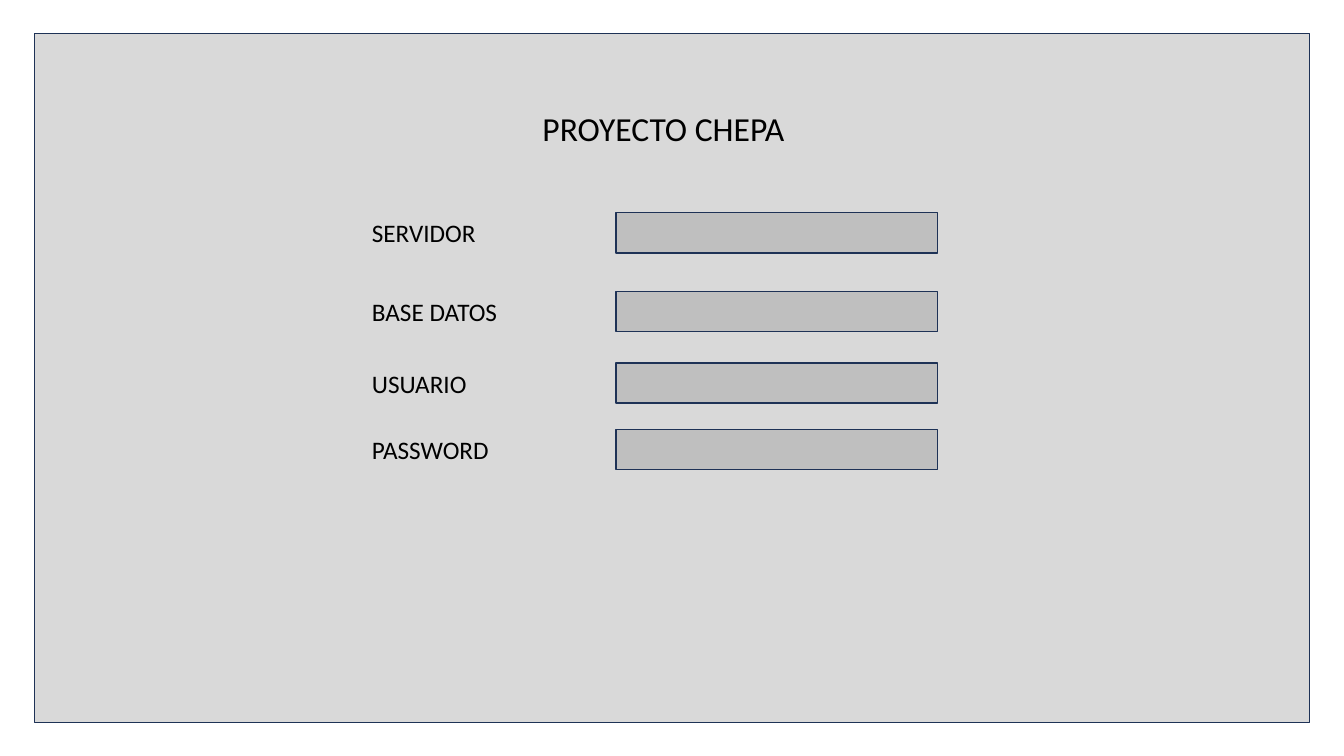
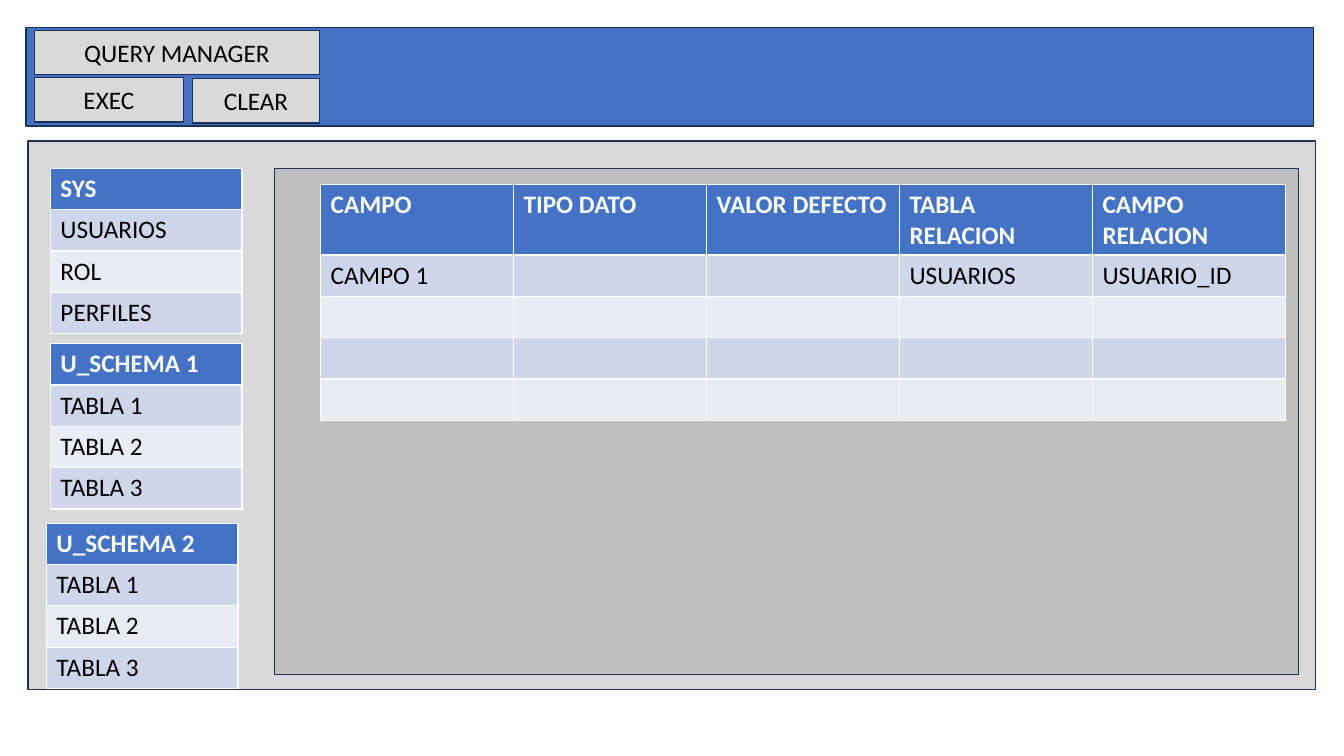
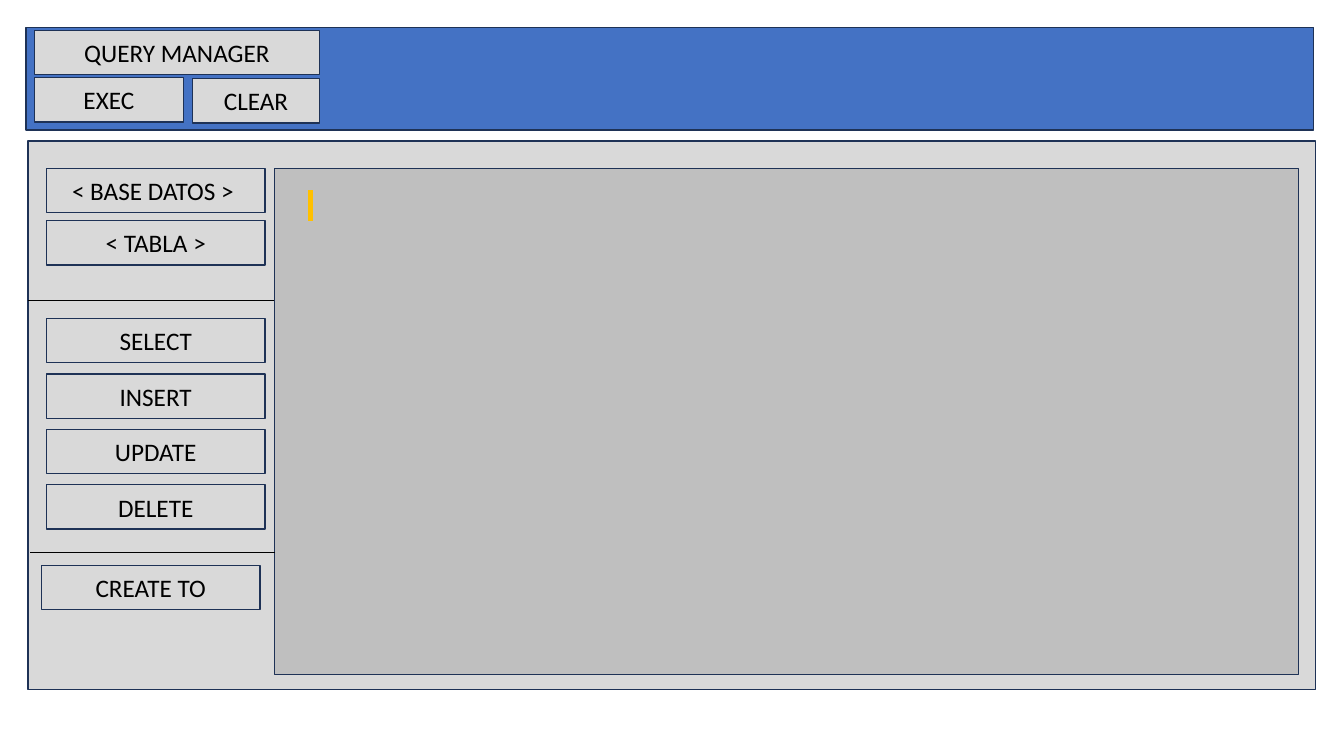
from lxml.etree import SubElement
from pptx import Presentation
from pptx.dml.color import RGBColor
from pptx.enum.shapes import MSO_CONNECTOR as Connector, MSO_SHAPE as Shape
from pptx.enum.text import MSO_ANCHOR as Anchor, MSO_AUTO_SIZE as AutoSize, PP_ALIGN as Align
from pptx.oxml.ns import qn
from pptx.util import Inches, Pt

FONT = "Calibri"
COLORS = {
    "blue": "4472C4",
    "outline": "1E3256",
    "panel": "D9D9D9",
    "field": "BFBFBF",
    "band_dark": "CFD5EA",
    "band_light": "E9EBF5",
    "cursor": "FFC000",
    "black": "000000",
    "white": "FFFFFF",
}
BUTTON_HEIGHT = 0.44
ROW_HEIGHT = 0.41
SIDE_LEFT = 0.46


def color(name):
    return RGBColor.from_string(COLORS[name])


class Mockup:
    """Draws the parts of a screen on the current page."""

    def __init__(self):
        self.deck = Presentation()
        self.deck.slide_width = Inches(13.33)
        self.deck.slide_height = Inches(7.5)
        self.page = None

    def new_page(self):
        self.page = self.deck.slides.add_slide(self.deck.slide_layouts[6])

    def set_text(self, frame, text, size=18, ink="black", bold=False, align=Align.LEFT):
        para = frame.paragraphs[0]
        para.text = text
        para.alignment = align
        para.font.name = FONT
        para.font.size = Pt(size)
        para.font.bold = bold
        para.font.color.rgb = color(ink)

    def box(self, left, top, width, height, fill):
        box = self.page.shapes.add_shape(
            Shape.RECTANGLE, Inches(left), Inches(top), Inches(width), Inches(height))
        box.shadow.inherit = False
        box.fill.solid()
        box.fill.fore_color.rgb = color(fill)
        box.line.color.rgb = color("outline")
        box.line.width = Pt(1)
        return box

    def button(self, text, left, top, width=2.17):
        frame = self.box(left, top, width, BUTTON_HEIGHT, "panel").text_frame
        frame.vertical_anchor = Anchor.MIDDLE
        self.set_text(frame, text, align=Align.CENTER)

    def label(self, text, left, top, width, height=0.4, size=18, align=Align.LEFT):
        box = self.page.shapes.add_textbox(
            Inches(left), Inches(top), Inches(width), Inches(height))
        box.text_frame.word_wrap = True
        box.text_frame.auto_size = AutoSize.SHAPE_TO_FIT_TEXT
        self.set_text(box.text_frame, text, size, align=align)

    def line(self, start, end, ink="black", weight=0.5):
        line = self.page.shapes.add_connector(
            Connector.STRAIGHT, *(Inches(value) for value in (*start, *end)))
        line.line.color.rgb = color(ink)
        line.line.width = Pt(weight)
        SubElement(line._element.spPr, qn("a:effectLst"))

    def table(self, rows, left, top, width, header_height=ROW_HEIGHT):
        """Table with a blue header row and banded rows below it."""
        heights = [header_height] + [ROW_HEIGHT] * (len(rows) - 1)
        table = self.page.shapes.add_table(
            len(rows), len(rows[0]), Inches(left), Inches(top),
            Inches(width), Inches(sum(heights))).table
        for index, (texts, height) in enumerate(zip(rows, heights)):
            header = index == 0
            band = "band_dark" if index % 2 else "band_light"
            table.rows[index].height = Inches(height)
            for column, text in enumerate(texts):
                cell = table.cell(index, column)
                cell.fill.solid()
                cell.fill.fore_color.rgb = color("blue" if header else band)
                self.set_text(cell.text_frame, text,
                              ink="white" if header else "black", bold=header)

    def toolbar(self, height):
        self.box(0.26, 0.27, 12.77, height, "blue")
        self.button("QUERY MANAGER", 0.34, 0.3, 2.83)
        self.button("EXEC", 0.34, 0.77, 1.48)
        self.button("CLEAR", 1.91, 0.78, 1.26)

    def workspace(self):
        self.box(0.28, 1.4, 12.77, 5.44, "panel")
        self.box(2.72, 1.67, 10.16, 5.02, "field")


def login_page(mockup):
    mockup.new_page()
    mockup.box(0.34, 0.33, 12.65, 6.84, "panel")
    mockup.label("PROYECTO CHEPA", 3.72, 1.02, 5.72, 0.5, 24, Align.CENTER)
    fields = {"SERVIDOR": 2.11, "BASE DATOS": 2.89, "USUARIO": 3.6, "PASSWORD": 4.26}
    for text, top in fields.items():
        mockup.label(text, 3.59, top, 2.39)
        mockup.box(6.11, top, 3.19, 0.4, "field")


def schema_page(mockup):
    mockup.new_page()
    mockup.toolbar(0.98)
    mockup.workspace()

    tables = ["TABLA 1", "TABLA 2", "TABLA 3"]
    schemas = [
        ("SYS", ["USUARIOS", "ROL", "PERFILES"], 0.5, 1.67),
        ("U_SCHEMA 1", tables, 0.5, 3.41),
        ("U_SCHEMA 2", tables, SIDE_LEFT, 5.19),
    ]
    for name, members, left, top in schemas:
        mockup.table([[text] for text in [name, *members]], left, top, 1.9)

    columns = ["CAMPO", "TIPO DATO", "VALOR DEFECTO", "TABLA RELACION", "CAMPO RELACION"]
    first_field = ["CAMPO 1", "", "", "USUARIOS", "USUARIO_ID"]
    empty_rows = [[""] * len(columns)] * 3
    mockup.table([columns, first_field, *empty_rows], 3.18, 1.83, 9.57, header_height=0.7)


def query_page(mockup):
    mockup.new_page()
    mockup.toolbar(1.02)
    mockup.workspace()

    mockup.button("< BASE DATOS > ", SIDE_LEFT, 1.67)
    mockup.button("< TABLA >", SIDE_LEFT, 2.19)
    for index, text in enumerate(["SELECT", "INSERT", "UPDATE", "DELETE"]):
        mockup.button(text, SIDE_LEFT, 3.16 + index * 0.55)
    mockup.button("CREATE TO", 0.41, 5.61)

    mockup.line((0.28, 2.98), (2.72, 2.98))
    mockup.line((0.3, 5.48), (2.73, 5.48))
    mockup.line((3.08, 1.89), (3.08, 2.19), "cursor", 3)


def main():
    mockup = Mockup()
    login_page(mockup)
    schema_page(mockup)
    query_page(mockup)
    mockup.deck.save("out.pptx")


if __name__ == "__main__":
    main()
